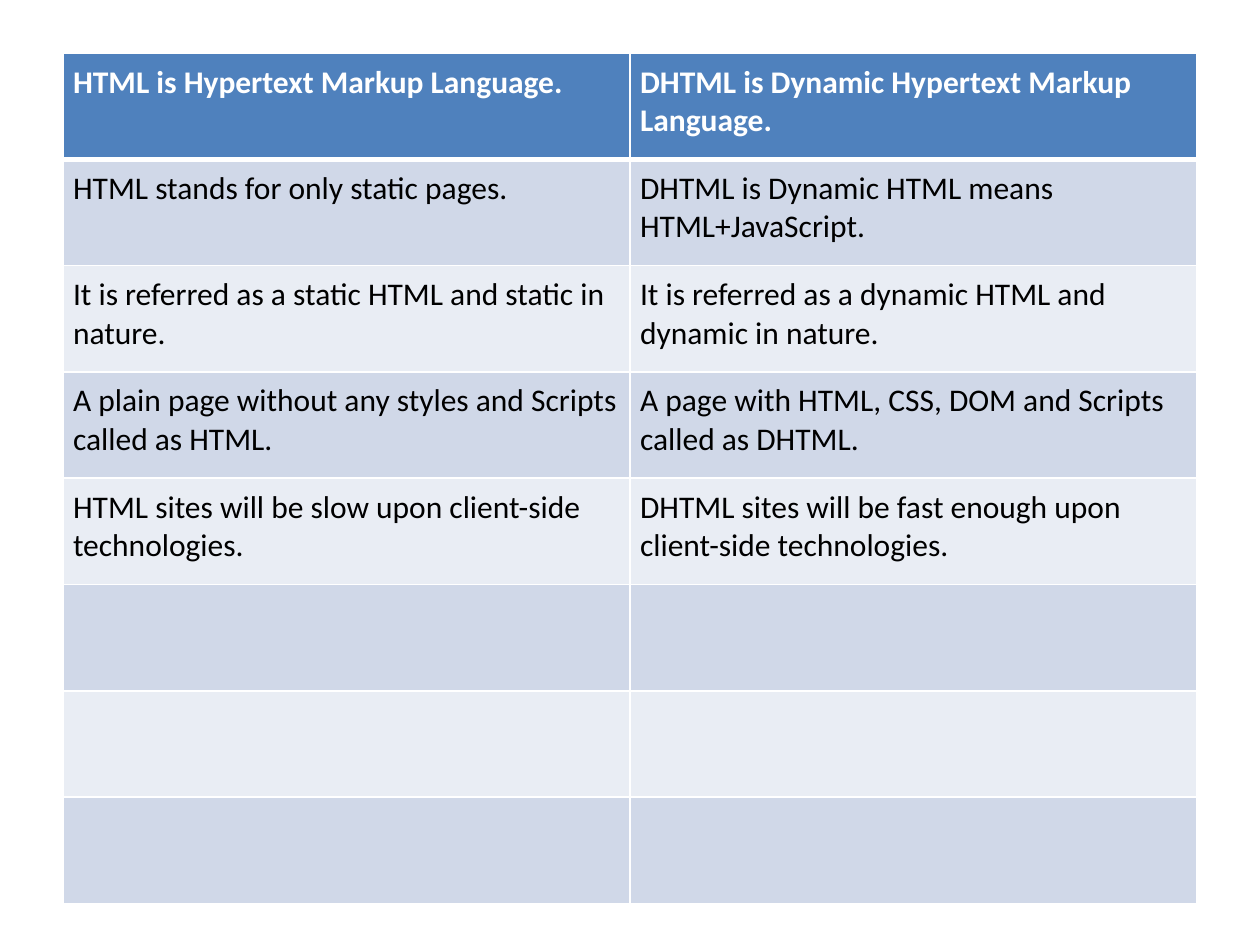
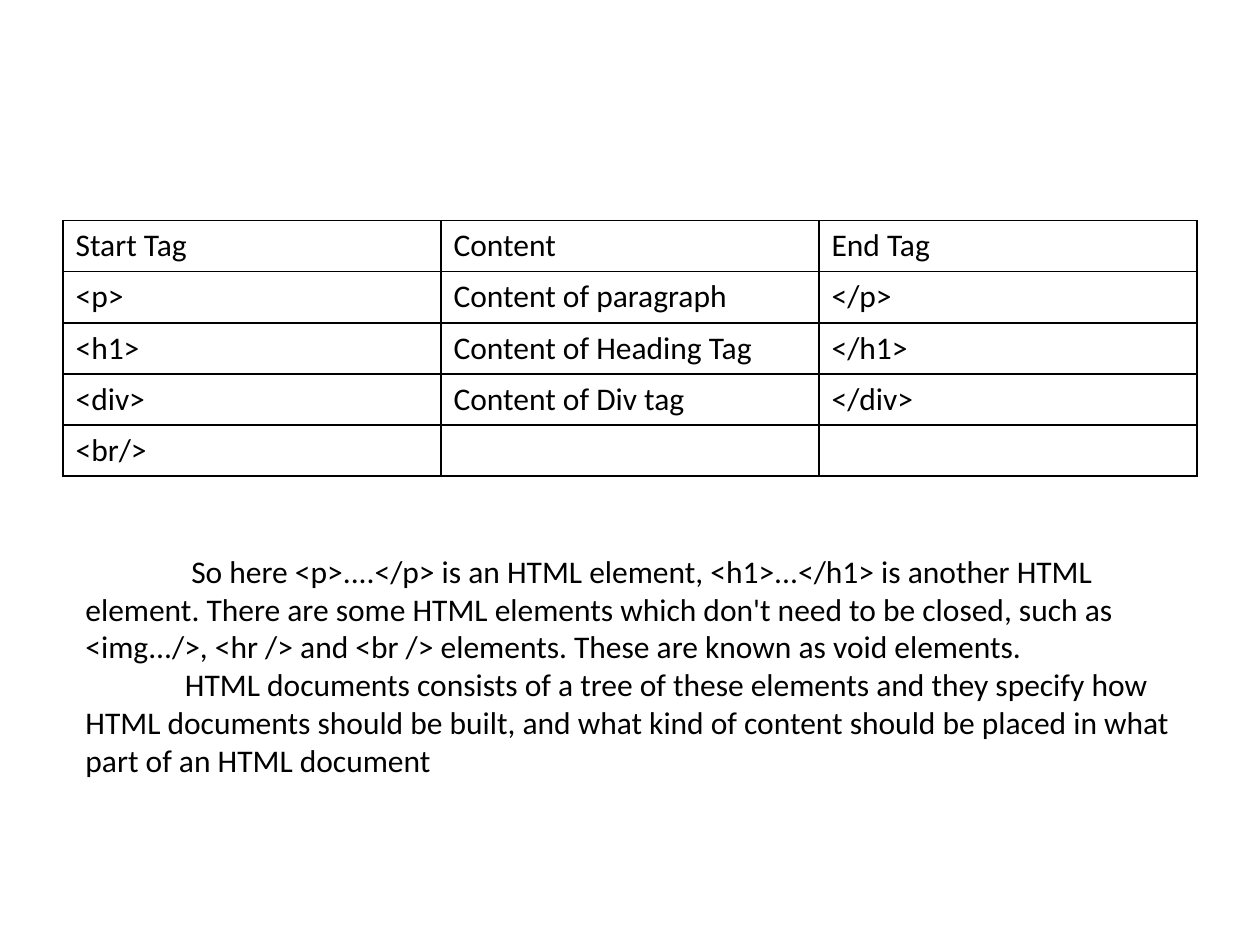
import pptx
import pptx.dml.color
import pptx.enum.text
import pptx.oxml.ns
import pptx.util
from lxml import etree

Inches = pptx.util.Inches
Pt = pptx.util.Pt
RGBColor = pptx.dml.color.RGBColor

WHITE = RGBColor(0xFF, 0xFF, 0xFF)
BLACK = RGBColor(0x00, 0x00, 0x00)
HEADER_BLUE = RGBColor(0x4F, 0x81, 0xBD)
BAND_DARK = RGBColor(0xD0, 0xD8, 0xE8)
BAND_LIGHT = RGBColor(0xE9, 0xED, 0xF4)
FONT_NAME = "Calibri"
FONT_SIZE = Pt(18)
BLANK_LAYOUT = 6

COMPARISON_ROWS = [
    ("HTML is Hypertext Markup Language.", "DHTML is Dynamic Hypertext Markup Language."),
    ("HTML stands for only static pages.", "DHTML is Dynamic HTML means HTML+JavaScript."),
    ("It is referred as a static HTML and static in nature.",
     "It is referred as a dynamic HTML and dynamic in nature."),
    ("A plain page without any styles and Scripts called as HTML.",
     "A page with HTML, CSS, DOM and Scripts called as DHTML."),
    ("HTML sites will be slow upon client-side technologies.",
     "DHTML sites will be fast enough upon client-side technologies."),
    ("", ""),
    ("", ""),
    ("", ""),
]
TAG_ROWS = [
    ("Start Tag", "Content", "End Tag"),
    ("<p>", "Content of paragraph", "</p>"),
    ("<h1>", "Content of Heading Tag", "</h1>"),
    ("<div>", "Content of Div tag", "</div>"),
    ("<br/>", "", ""),
]
ELEMENT_NOTES = [
    ("So here <p>....</p> is an HTML element, <h1>...</h1> is another HTML element. "
     "There are some HTML elements which don't need to be closed, such as <img.../>, "
     "<hr /> and <br /> elements. These are known as void elements.", 0.84),
    ("HTML documents consists of a tree of these elements and they specify how HTML "
     "documents should be built, and what kind of content should be placed in what "
     "part of an HTML document", 0.79),
]


def style_paragraph(paragraph, color, bold=False):
    paragraph.font.name = FONT_NAME
    paragraph.font.size = FONT_SIZE
    paragraph.font.bold = bold
    paragraph.font.color.rgb = color


def set_borders(cell, color, bottom_width=1):
    properties = cell._tc.get_or_add_tcPr()
    for side in "LRTB":
        width = bottom_width if side == "B" else 1
        line = etree.SubElement(properties, pptx.oxml.ns.qn(f"a:ln{side}"), w=str(Pt(width)))
        fill = etree.SubElement(line, pptx.oxml.ns.qn("a:solidFill"))
        etree.SubElement(fill, pptx.oxml.ns.qn("a:srgbClr"), val=str(color))


def add_plain_table(slide, box, rows):
    table = slide.shapes.add_table(len(rows), len(rows[0]), *map(Inches, box)).table
    table.first_row = False
    table.horz_banding = False
    for row, texts in enumerate(rows):
        for column, text in enumerate(texts):
            table.cell(row, column).text = text
    return table


def add_comparison_table(slide, box):
    table = add_plain_table(slide, box, COMPARISON_ROWS)
    for row, table_row in enumerate(table.rows):
        header = row == 0
        band = BAND_DARK if row % 2 else BAND_LIGHT
        for cell in table_row.cells:
            cell.margin_left = cell.margin_right = Inches(0.08)
            cell.margin_top = cell.margin_bottom = Inches(0.08)
            set_borders(cell, WHITE, 3 if header else 1)
            cell.fill.solid()
            cell.fill.fore_color.rgb = HEADER_BLUE if header else band
            style_paragraph(cell.text_frame.paragraphs[0], WHITE if header else BLACK, header)


def add_tag_table(slide, box):
    table = add_plain_table(slide, box, TAG_ROWS)
    for cell in table.iter_cells():
        set_borders(cell, BLACK)
        cell.fill.background()
        style_paragraph(cell.text_frame.paragraphs[0], BLACK)


def add_element_notes(slide, box):
    text_frame = slide.shapes.add_textbox(*map(Inches, box)).text_frame
    text_frame.word_wrap = True
    text_frame.auto_size = pptx.enum.text.MSO_AUTO_SIZE.SHAPE_TO_FIT_TEXT
    text_frame.text = "\n".join(text for text, indent in ELEMENT_NOTES)
    for paragraph, (text, indent) in zip(text_frame.paragraphs, ELEMENT_NOTES):
        style_paragraph(paragraph, BLACK)
        properties = paragraph._p.get_or_add_pPr()
        properties.set("marL", "0")
        properties.set("indent", str(Inches(indent)))


def main():
    presentation = pptx.Presentation()
    presentation.slide_width = Inches(10)
    presentation.slide_height = Inches(7.5)
    layout = presentation.slide_layouts[BLANK_LAYOUT]

    add_comparison_table(presentation.slides.add_slide(layout), (0.5, 0.42, 9, 6.75))

    tag_slide = presentation.slides.add_slide(layout)
    add_tag_table(tag_slide, (0.5, 1.75, 9, 2.03))
    add_element_notes(tag_slide, (0.58, 4.33, 8.83, 1.92))

    presentation.save("out.pptx")


if __name__ == "__main__":
    main()
